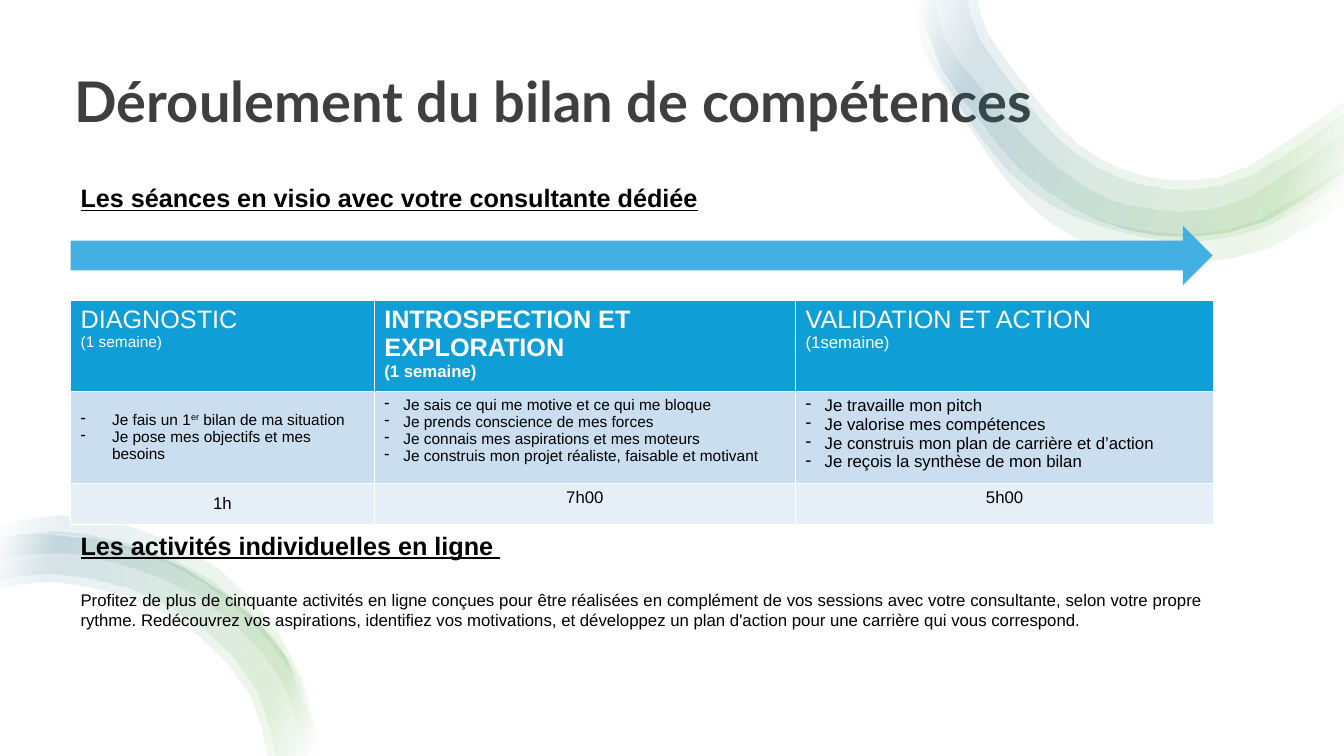
from lxml.etree import SubElement
from pptx import Presentation
from pptx.dml.color import RGBColor
from pptx.enum.shapes import MSO_SHAPE
from pptx.enum.text import MSO_ANCHOR, MSO_AUTO_SIZE, PP_ALIGN
from pptx.oxml import parse_xml
from pptx.oxml.ns import nsdecls, qn
from pptx.util import Cm, Pt

WHITE = RGBColor(0xFF, 0xFF, 0xFF)
BLACK = RGBColor(0, 0, 0)
TITLE_GREY = RGBColor(0x3F, 0x3F, 0x3F)
ARROW_BLUE = RGBColor(0x43, 0xAF, 0xE2)
HEADER_BLUE = RGBColor(0x0F, 0x9E, 0xD5)
BAND_DARK = RGBColor(0xCA, 0xDE, 0xEF)
BAND_LIGHT = RGBColor(0xE6, 0xEF, 0xF7)
GREEN = RGBColor(0x4E, 0xA7, 0x2E)
TEAL = RGBColor(0x15, 0x60, 0x82)

# Ribbon edges, in hundredths of an inch from the corner of their region
RIBBON_UNIT = Cm(0.0254)
TOP_EDGE = [(4, 0), (26, 68), (66, 122), (106, 169), (153, 204), (208, 227),
            (274, 235), (350, 219), (426, 171)]
TOP_RIBBONS = [
    ([(0, 0), (9, 50), (35, 96), (63, 139), (94, 182), (134, 220), (184, 246),
      (240, 259), (283, 260), (354, 245), (426, 202)],
     [(3, 0), (13, 49), (41, 92), (74, 132), (108, 170), (148, 201), (194, 221),
      (243, 230), (281, 231), (341, 218), (426, 165)]),
    ([(4, 0), (12, 46), (36, 91), (63, 132), (95, 172), (137, 204), (187, 225),
      (240, 237), (281, 239), (348, 225), (426, 181)],
     [(20, 0), (30, 39), (57, 77), (89, 114), (122, 148), (157, 177), (197, 199),
      (243, 208), (279, 209), (334, 194), (426, 132)]),
    (TOP_EDGE,
     [(53, 0), (64, 38), (106, 95), (142, 137), (181, 166), (225, 183), (274, 188),
      (337, 173), (426, 113)]),
    (TOP_EDGE,
     [(63, 0), (73, 34), (114, 90), (148, 130), (183, 157), (225, 174), (274, 179),
      (332, 165), (426, 101)]),
]
BOTTOM_EDGE = [(0, 24), (49, 19), (141, 34), (222, 77), (284, 141), (316, 238)]
BOTTOM_RIBBONS = [
    (BOTTOM_EDGE, [(0, 73), (49, 66), (128, 81), (199, 121), (248, 178), (265, 238)]),
    (BOTTOM_EDGE, [(0, 65), (49, 58), (131, 73), (205, 115), (255, 174), (273, 238)]),
    ([(0, 22), (38, 17), (83, 18), (170, 42), (244, 91), (297, 160), (316, 238)],
     [(0, 43), (39, 38), (81, 39), (160, 62), (230, 105), (281, 167), (302, 238)]),
    ([(0, 9), (37, 2), (86, 1), (178, 28), (252, 85), (300, 162), (317, 238)],
     [(0, 24), (39, 19), (83, 21), (167, 47), (240, 96), (294, 164), (314, 238)]),
]

# Phases: title, length, size of length, bold, tasks, task size, indent, hours, anchor
PHASES = [
    ("DIAGNOSTIC", "(1 semaine)", 11, False,
     ["Je fais un 1^er^ bilan de ma situation", "Je pose mes objectifs et mes besoins"],
     11, Cm(0.79), "1h", MSO_ANCHOR.MIDDLE),
    ("INTROSPECTION ET EXPLORATION", "(1 semaine)", 12, True,
     ["Je sais ce qui me motive et ce qui me bloque", "Je prends conscience de mes forces",
      "Je connais mes aspirations et mes moteurs",
      "Je construis mon projet réaliste, faisable et motivant"],
     11, Cm(0.48), "7h00", MSO_ANCHOR.TOP),
    ("VALIDATION ET ACTION", "(1semaine)", 12, False,
     ["Je travaille mon pitch", "Je valorise mes compétences",
      "Je construis mon plan de carrière et d’action", "Je reçois la synthèse de mon bilan"],
     12, Cm(0.48), "5h00", MSO_ANCHOR.TOP),
]


def smooth_curve(points):
    """Add the Catmull-Rom midpoint between each two points."""
    padded = [points[0], *points, points[-1]]
    curve = [points[0]]
    for a, b, c, d in zip(padded, padded[1:], padded[2:], padded[3:]):
        middle = tuple((9 * (b[i] + c[i]) - a[i] - d[i]) / 16 for i in (0, 1))
        curve += [middle, c]
    return curve


def add_ribbons(page, left, top, ribbons):
    stops = [(0, WHITE), (2, WHITE), (16, GREEN), (85, TEAL), (100, WHITE)]
    stop_xml = "".join(
        f'<a:gs pos="{place * 1000}"><a:srgbClr val="{color}"><a:alpha val="9000"/>'
        '</a:srgbClr></a:gs>' for place, color in stops)
    for outer, inner in ribbons:
        outline = [(x * RIBBON_UNIT, y * RIBBON_UNIT)
                   for x, y in smooth_curve(outer) + smooth_curve(inner)[::-1]]
        builder = page.shapes.build_freeform(*outline[0], scale=1.0)
        builder.add_line_segments(outline[1:], close=True)
        ribbon = builder.convert_to_shape(left, top)
        ribbon.shadow.inherit = False
        ribbon.line.fill.background()
        # Translucent gradient goes right after the geometry
        ribbon._element.spPr.find(qn("a:custGeom")).addnext(parse_xml(
            f'<a:gradFill {nsdecls("a")} rotWithShape="1"><a:gsLst>{stop_xml}</a:gsLst>'
            '<a:lin ang="12000000" scaled="0"/></a:gradFill>'))


def format_paragraph(para, text, size, color=BLACK, bold=False, underline=None,
                     align=PP_ALIGN.LEFT):
    """Write the text; parts between ^ marks are superscript."""
    for index, part in enumerate(text.split("^")):
        span = para.add_run()
        span.text = part
        if index % 2:
            span._r.get_or_add_rPr().set("baseline", "30000")
    para.alignment = align
    font = para.font
    font.name, font.size, font.bold, font.underline = "Arial", Pt(size), bold, underline
    font.color.rgb = color


def add_dash(para, indent):
    properties = para._p.get_or_add_pPr()
    properties.set("marL", str(indent))
    properties.set("indent", str(-indent))
    dash = SubElement(properties, qn("a:buChar"))
    dash.set("char", "-")
    properties.insert_element_before(dash, "a:defRPr")


def set_title(page, left, top, width, height):
    title = page.shapes.title
    title.left, title.top, title.width, title.height = left, top, width, height
    frame = title.text_frame
    frame.text = "Déroulement du bilan de compétences"
    frame.auto_size = MSO_AUTO_SIZE.NONE
    frame.vertical_anchor = MSO_ANCHOR.BOTTOM
    para = frame.paragraphs[0]
    para.alignment, para.line_spacing = PP_ALIGN.LEFT, 0.9
    para.font.name, para.font.size, para.font.bold = "Lato", Pt(40), True
    para.font.color.rgb = TITLE_GREY


def add_section(page, left, top, width, height, heading, body=None):
    frame = page.shapes.add_textbox(left, top, width, height).text_frame
    frame.word_wrap = True
    align = PP_ALIGN.JUSTIFY if body else PP_ALIGN.LEFT
    format_paragraph(frame.paragraphs[0], heading, 18, bold=True, underline=True, align=align)
    if body:
        para = frame.add_paragraph()
        format_paragraph(para, body, 12, align=align)
        para.space_before = Pt(21)


def add_timeline(page, left, top, width, height):
    arrow = page.shapes.add_shape(MSO_SHAPE.RIGHT_ARROW, left, top, width, height)
    arrow.shadow.inherit = False
    arrow.fill.solid()
    arrow.fill.fore_color.rgb = ARROW_BLUE
    arrow.line.fill.background()


def add_phase_table(page, left, top, widths, heights):
    table = page.shapes.add_table(3, len(PHASES), left, top, sum(widths), sum(heights)).table
    for row, height, color in zip(table.rows, heights, (HEADER_BLUE, BAND_DARK, BAND_LIGHT)):
        row.height = height
        for cell in row.cells:
            cell.fill.solid()
            cell.fill.fore_color.rgb = color
    for index, phase in enumerate(PHASES):
        name, length, length_size, bold, tasks, task_size, indent, hours, anchor = phase
        table.columns[index].width = widths[index]
        header, detail, total = (table.cell(row, index) for row in range(3))
        # Phase name and length
        frame = header.text_frame
        format_paragraph(frame.paragraphs[0], name, 18, WHITE, bold)
        format_paragraph(frame.add_paragraph(), length, length_size, WHITE, bold)
        # Tasks
        frame = detail.text_frame
        for number, task in enumerate(tasks):
            para = frame.add_paragraph() if number else frame.paragraphs[0]
            format_paragraph(para, task, task_size)
            add_dash(para, indent)
        # Hours
        format_paragraph(total.text_frame.paragraphs[0], hours, 12, align=PP_ALIGN.CENTER)
        detail.vertical_anchor = total.vertical_anchor = anchor


def main():
    deck = Presentation()
    deck.slide_width, deck.slide_height = Cm(33.87), Cm(19.05)
    page = deck.slides.add_slide(deck.slide_layouts[5])
    left = Cm(1.78)
    set_title(page, Cm(1.63), Cm(0.3), Cm(30.18), Cm(3.23))
    add_ribbons(page, Cm(23.04), Cm(0), TOP_RIBBONS)
    add_ribbons(page, Cm(0), Cm(13), BOTTOM_RIBBONS)
    add_section(page, left, Cm(13.23), Cm(28.8), Cm(2.82),
                "Les activités individuelles en ligne ",
                "Profitez de plus de cinquante activités en ligne conçues pour être réalisées "
                "en complément de vos sessions avec votre consultante, selon votre propre "
                "rythme. Redécouvrez vos aspirations, identifiez vos motivations, et développez "
                "un plan d'action pour une carrière qui vous correspond.")
    add_section(page, left, Cm(4.47), Cm(22.12), Cm(1.02),
                "Les séances en visio avec votre consultante dédiée")
    add_timeline(page, left, Cm(5.69), Cm(28.78), Cm(1.5))
    add_phase_table(page, left, Cm(7.57), [Cm(7.65), Cm(10.62), Cm(10.54)],
                    [Cm(2.25), Cm(2.32), Cm(1.03)])
    deck.save("out.pptx")


if __name__ == "__main__":
    main()
